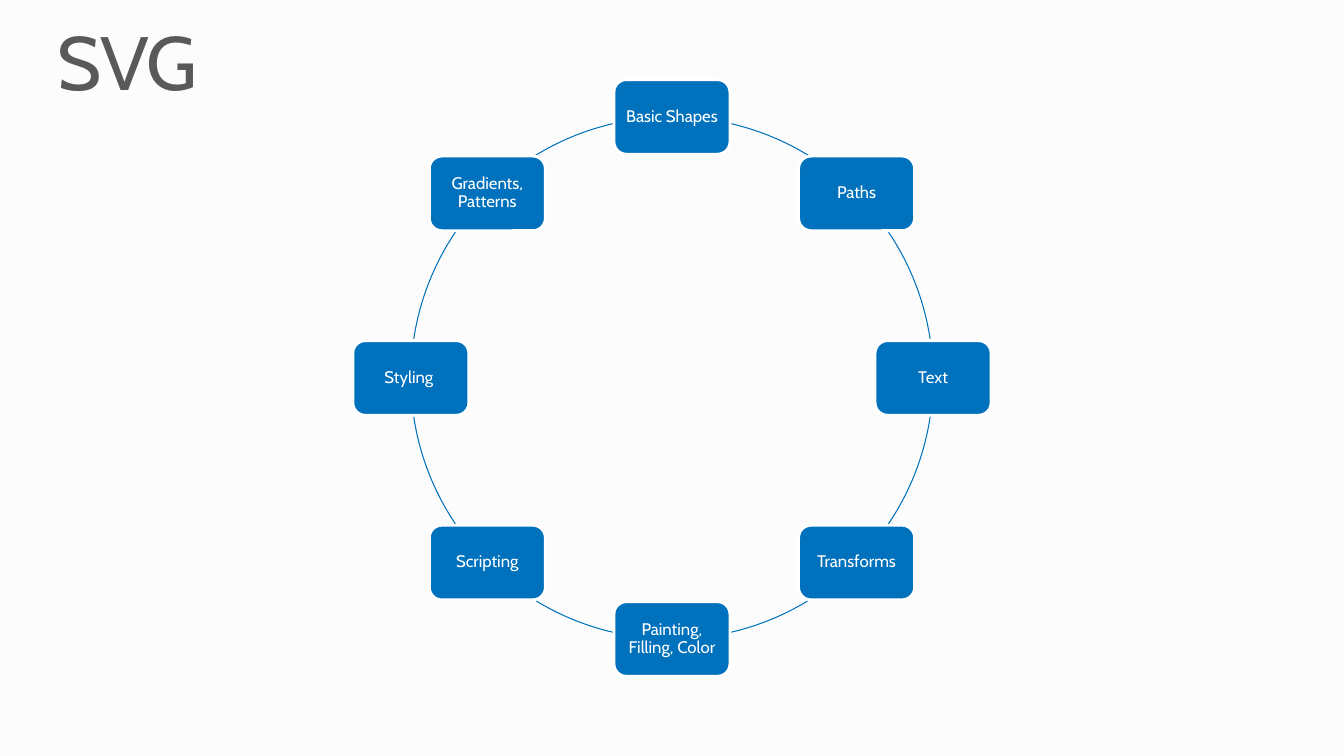
from math import cos, radians, sin

from pptx import Presentation
from pptx.dml.color import RGBColor
from pptx.enum.shapes import MSO_SHAPE as Preset
from pptx.enum.text import MSO_ANCHOR as Anchor, MSO_AUTO_SIZE as AutoSize, PP_ALIGN as Align
from pptx.oxml.ns import qn
from pptx.util import Inches, Pt

PAPER = RGBColor(0xFC, 0xFC, 0xFC)
WHITE = RGBColor(0xFF, 0xFF, 0xFF)
BLUE = RGBColor(0x00, 0x71, 0xBC)
GREY = RGBColor(0x59, 0x59, 0x59)

WIDTH, HEIGHT = Inches(13.33), Inches(7.5)
RADIUS = HEIGHT * 34.53 / 100
TOPIC_SIZE = (8.63, 9.87)
TOPICS = ["Basic Shapes", "Paths", "Text", "Transforms",
          "Painting, Filling, Color", "Scripting", "Styling ", "Gradients, Patterns"]
QUARTER_ARCS = [(13, 31.5), (56, 81.5)]
HALF_ARCS = QUARTER_ARCS + [(180 - end, 180 - start) for start, end in reversed(QUARTER_ARCS)]


def apply(target, values):
    for name, value in values.items():
        setattr(target, name, value)


def margins(inset):
    return {f"margin_{side}": inset for side in ("left", "top", "right", "bottom")}


class CycleSlide:
    font = "Cabin"
    title_frame = {"word_wrap": True, "auto_size": AutoSize.SHAPE_TO_FIT_TEXT,
                   "vertical_anchor": Anchor.TOP, **margins(0)}
    topic_frame = {"word_wrap": True, "vertical_anchor": Anchor.MIDDLE,
                   **margins(Inches(0.05))}

    def __init__(self, slide):
        self.slide = slide
        slide.background.fill.solid()
        slide.background.fill.fore_color.rgb = PAPER

    def span(self, across, down):
        return round(WIDTH * across / 100), round(HEIGHT * down / 100)

    def label(self, holder, wording, frame, align, size, color):
        apply(holder.text_frame, frame)
        paragraph = holder.text_frame.paragraphs[0]
        apply(paragraph, {"alignment": align, "line_spacing": 0.9})
        run = paragraph.add_run()
        run.text = wording
        apply(run.font, {"name": self.font, "size": Pt(size)})
        run.font.color.rgb = color

    def preset(self, kind, left, top, width, height, line_color, line_width):
        shape = self.slide.shapes.add_shape(kind, round(left), round(top), round(width), round(height))
        shape.shadow.inherit = False
        shape.line.color.rgb = line_color
        shape.line.width = Pt(line_width)
        return shape

    def title(self, wording, left, top, width, height):
        heading = self.slide.shapes.add_textbox(*self.span(left, top), *self.span(width, height))
        self.label(heading, wording, self.title_frame, Align.LEFT, 54, GREY)
        for properties in heading.element.iter(qn("a:rPr")):
            properties.set("spc", "-100")

    def topic(self, wording, angle):
        width, height = self.span(*TOPIC_SIZE)
        left = WIDTH / 2 + RADIUS * sin(radians(angle)) - width / 2
        top = HEIGHT / 2 - RADIUS * cos(radians(angle)) - height / 2
        card = self.preset(Preset.ROUNDED_RECTANGLE, left, top, width, height, WHITE, 2)
        card.fill.solid()
        card.fill.fore_color.rgb = BLUE
        self.label(card, wording, self.topic_frame, Align.CENTER, 12, WHITE)

    def arc(self, start, end):
        link = self.preset(Preset.ARC, WIDTH / 2 - RADIUS, HEIGHT / 2 - RADIUS,
                           RADIUS * 2, RADIUS * 2, BLUE, 0.75)
        link.fill.background()
        for index, angle in enumerate((start, end)):
            link.adjustments[index] = (angle - 90) % 360 * 0.6


def main():
    deck = Presentation()
    apply(deck, {"slide_width": WIDTH, "slide_height": HEIGHT})
    cycle = CycleSlide(deck.slides.add_slide(deck.slide_layouts[6]))
    cycle.title("SVG", 4.28, 3.33, 91.45, 10.93)
    for half_turn in (0, 180):
        for start, end in HALF_ARCS:
            cycle.arc(start + half_turn, end + half_turn)
    for position, topic in enumerate(TOPICS):
        cycle.topic(topic, position * 360 / len(TOPICS))
    deck.save("out.pptx")


if __name__ == "__main__":
    main()
